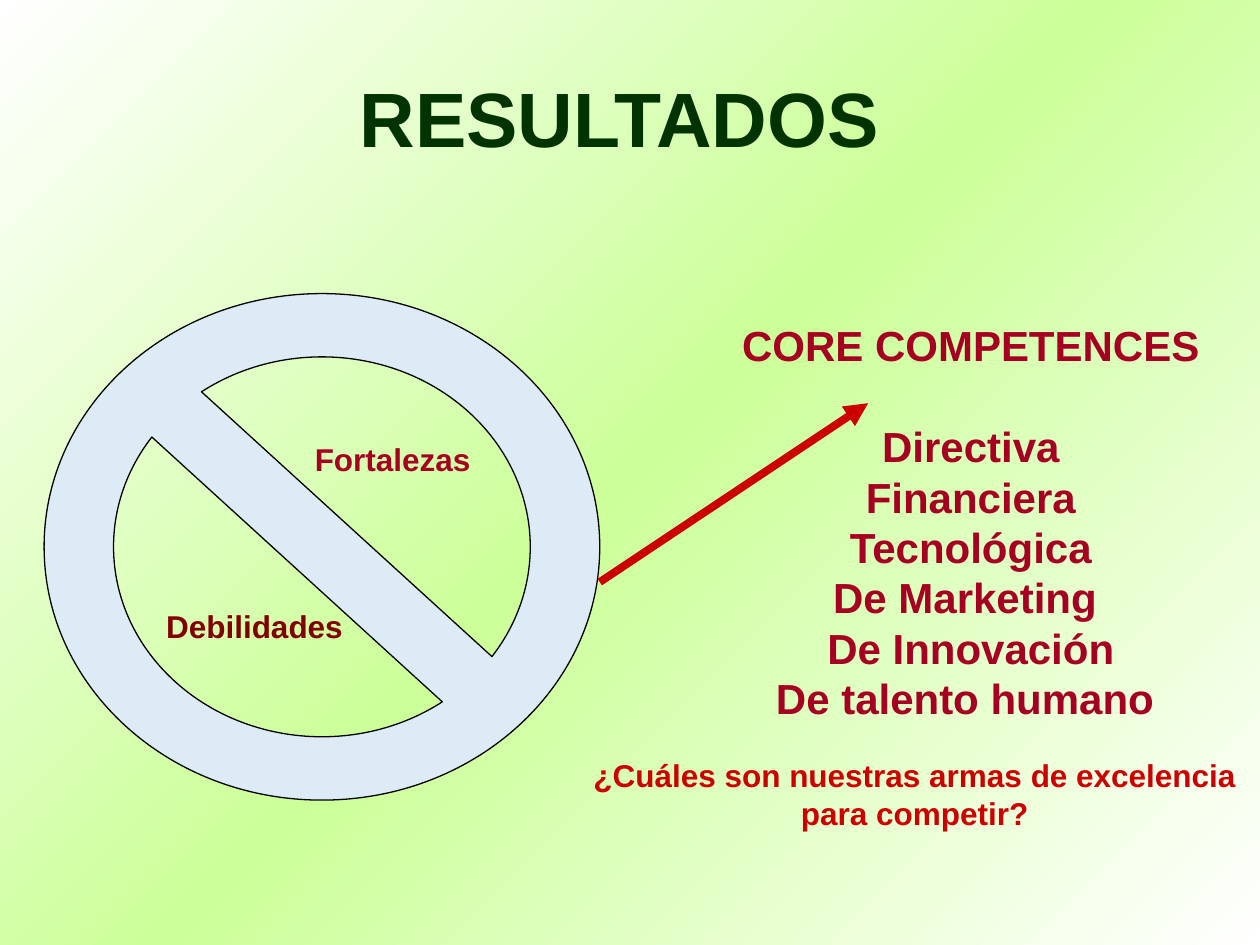
from copy import deepcopy
from math import cos, radians, sin, tan

from pptx import Presentation
from pptx.dml.color import RGBColor
from pptx.enum.shapes import MSO_CONNECTOR
from pptx.enum.text import MSO_ANCHOR, MSO_AUTO_SIZE, PP_ALIGN
from pptx.oxml.ns import qn
from pptx.util import Inches, Pt
from lxml import etree

LEFT, CENTER = PP_ALIGN.LEFT, PP_ALIGN.CENTER
MIDDLE, STRAIGHT = MSO_ANCHOR.MIDDLE, MSO_CONNECTOR.STRAIGHT
FIT_SHAPE = MSO_AUTO_SIZE.SHAPE_TO_FIT_TEXT
WHITE = RGBColor(0xFF, 0xFF, 0xFF)
BLACK = RGBColor(0, 0, 0)
LIME = RGBColor(0xCC, 0xFF, 0x99)
DARK_GREEN = RGBColor(0, 0x33, 0)
PALE_BLUE = RGBColor(0xDC, 0xEB, 0xF5)
CRIMSON = RGBColor(0xA5, 0, 0x21)
MAROON = RGBColor(0x80, 0, 0)
RED = RGBColor(0xCC, 0, 0)
FONT = "Arial"
COMPETENCES = ["Directiva", "Financiera", "Tecnológica", "De Marketing ",
               "De Innovación", "De talento humano "]
QUESTION = ["¿Cuáles son nuestras armas de excelencia", "para competir?"]


def paint_background(page):
    """Fill the page with a diagonal white, lime, white gradient."""
    fill = page.background.fill
    fill.gradient()
    fill.gradient_angle = 315
    stop_list = page.element.find(".//" + qn("a:gsLst"))
    stop_list.insert(1, deepcopy(stop_list[0]))
    for stop, color, position in zip(fill.gradient_stops, (WHITE, LIME, WHITE), (0, 0.5, 1)):
        stop.color.rgb = color
        stop.position = position


def write_line(para, text, size, color, align):
    """Write one bold run into a paragraph."""
    para.alignment = align
    span = para.add_run()
    span.text = text
    span.font.name = FONT
    span.font.size = Pt(size)
    span.font.bold = True
    span.font.color.rgb = color


def set_title(page, left, top, width, height):
    """Place and write the page title."""
    title = page.shapes.title
    title.left, title.top, title.width, title.height = left, top, width, height
    title.text_frame.vertical_anchor = MIDDLE
    write_line(title.text_frame.paragraphs[0], "RESULTADOS ", 44, DARK_GREEN, CENTER)


def add_text(page, left, top, width, height, lines, size, color, align=LEFT):
    """Add a text box with one paragraph per line and return its paragraphs."""
    frame = page.shapes.add_textbox(left, top, width, height).text_frame
    frame.word_wrap = False
    frame.auto_size = FIT_SHAPE
    for index, line in enumerate(lines):
        para = frame.add_paragraph() if index else frame.paragraphs[0]
        write_line(para, line, size, color, align)
    return frame.paragraphs


def arc_points(start, end, pieces):
    """Return the cubic curve points of a unit circle arc, in degrees."""
    step = radians(end - start) / pieces
    pull = 4 / 3 * tan(step / 4)
    points = [(cos(radians(start)), sin(radians(start)))]
    for piece in range(pieces):
        first = radians(start) + piece * step
        last = first + step
        points += [(cos(first) - pull * sin(first), sin(first) + pull * cos(first)),
                   (cos(last) + pull * sin(last), sin(last) - pull * cos(last)),
                   (cos(last), sin(last))]
    return points


def curve_segments(shape):
    """Turn each three straight segments of an outline into one cubic curve."""
    segments = list(shape.element.iter(qn("a:lnTo")))
    for first, second, third in zip(segments[::3], segments[1::3], segments[2::3]):
        curve = etree.Element(qn("a:cubicBezTo"))
        first.addprevious(curve)
        for segment in (first, second, third):
            curve.append(segment[0])
            segment.getparent().remove(segment)


def add_divided_ring(page, left, top, width, height):
    """Draw an elliptical ring crossed by a diagonal bar."""
    def place(points, radius):
        return [(left + width / 2 * (1 + radius * x), top + height / 2 * (1 + radius * y))
                for x, y in points]

    rim = place(arc_points(180, 540, 4), 1)
    builder = page.shapes.build_freeform(*rim[0])
    builder.add_line_segments(rim[1:], close=True)
    for turn in (0, 180):
        opening = place(arc_points(35.3 + turn, -125.3 + turn, 2), 0.75)
        builder.move_to(*opening[0])
        builder.add_line_segments(opening[1:], close=True)
    ring = builder.convert_to_shape()
    curve_segments(ring)
    ring.shadow.inherit = False
    ring.fill.solid()
    ring.fill.fore_color.rgb = PALE_BLUE
    ring.line.color.rgb = BLACK
    ring.line.width = Pt(0.75)


def add_arrow(page, start_x, start_y, end_x, end_y):
    """Draw a thick red arrow between two points."""
    arrow = page.shapes.add_connector(STRAIGHT, start_x, start_y, end_x, end_y)
    arrow.line.color.rgb = RED
    arrow.line.width = Pt(4.5)
    properties = arrow.element.spPr
    etree.SubElement(properties.find(qn("a:ln")), qn("a:tailEnd"), type="triangle")
    etree.SubElement(properties, qn("a:effectLst"))


def add_balance(page, left, top, width, height):
    """Add the ring with a label in each of its halves."""
    add_divided_ring(page, left, top, width, height)
    add_text(page, left + Inches(2.05), top + Inches(1.11), Inches(1.45), Inches(0.4),
             ["Fortalezas"], 18, CRIMSON)
    add_text(page, left + Inches(0.87), top + Inches(2.44), Inches(1.61), Inches(0.4),
             ["Debilidades"], 18, MAROON)


def add_competences(page, left, top, width, height):
    """Add the heading and the list of core competences."""
    paras = add_text(page, left, top, width, height,
                     ["CORE COMPETENCES", *COMPETENCES], 24, CRIMSON, CENTER)
    paras[1].space_before = Pt(28.8)


def main():
    """Build and save the deck."""
    deck = Presentation()
    deck.slide_width, deck.slide_height = Inches(10), Inches(7.5)
    page = deck.slides.add_slide(deck.slide_layouts[5])
    paint_background(page)
    set_title(page, Inches(0.5), Inches(0.3), Inches(9), Inches(1.25))
    add_competences(page, Inches(5.79), Inches(2.49), Inches(3.83), Inches(3.3))
    add_balance(page, Inches(0.35), Inches(2.33), Inches(4.41), Inches(4.02))
    add_arrow(page, Inches(4.76), Inches(4.62), Inches(6.89), Inches(3.2))
    add_text(page, Inches(4.61), Inches(5.95), Inches(5.3), Inches(0.7),
             QUESTION, 18, RED, CENTER)
    deck.save("out.pptx")


if __name__ == "__main__":
    main()
